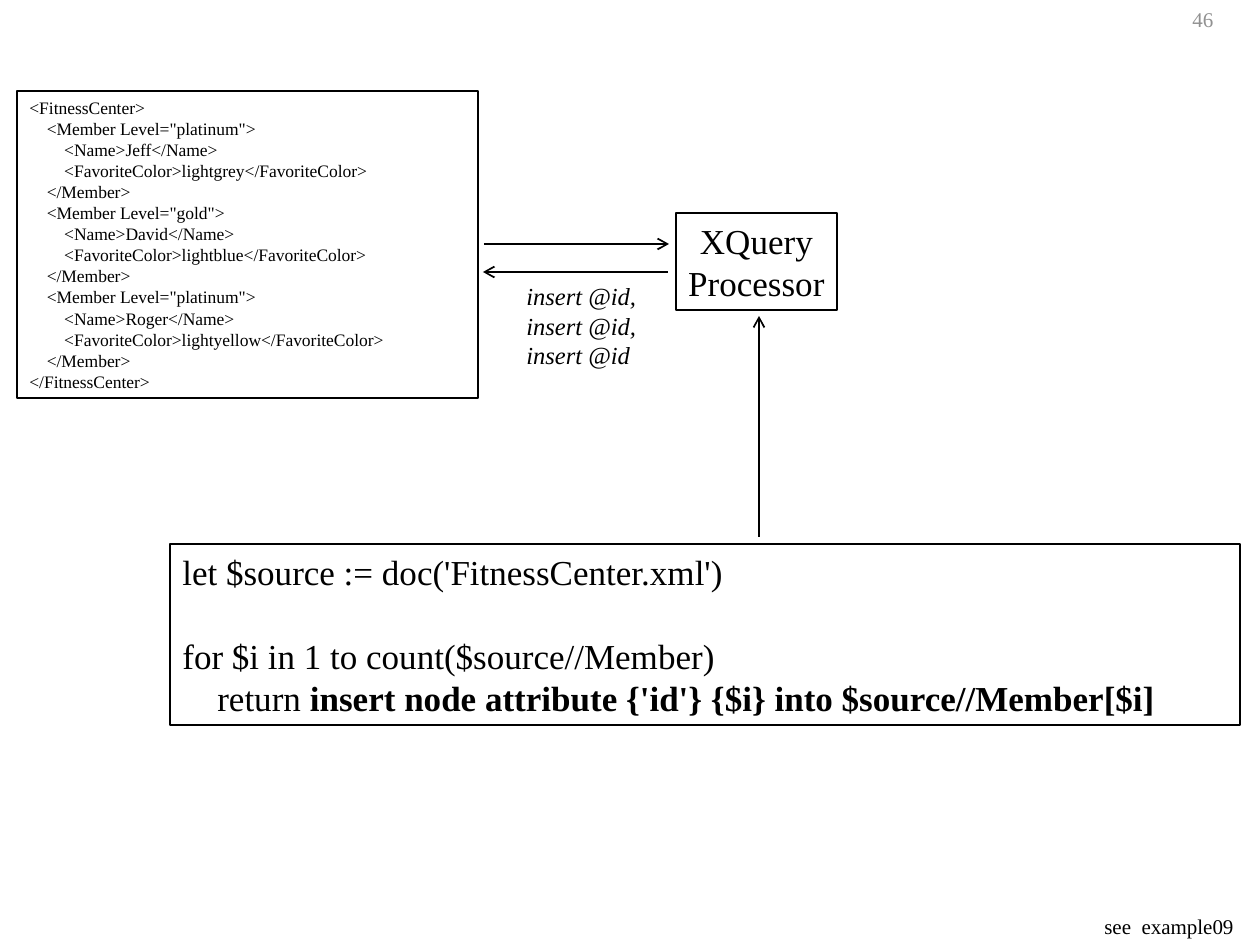
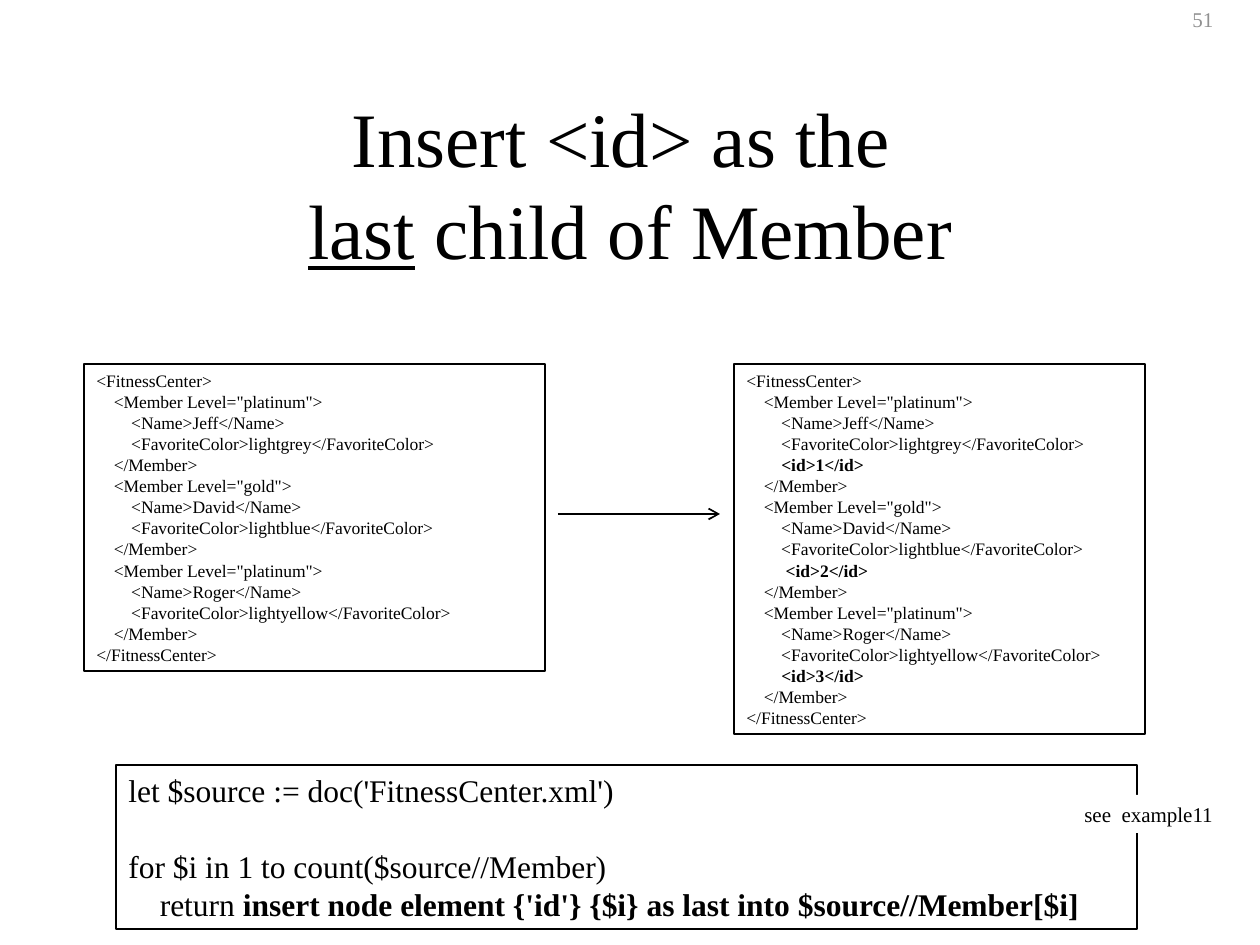
"""Builds two slides on inserting nodes with the XQuery Update Facility."""
from lxml import etree
from pptx import Presentation
from pptx import util as u
from pptx.dml.color import RGBColor
from pptx.enum import shapes, text
from pptx.oxml.ns import qn

PX = 914400 / 126
FONT = "Times New Roman"
BLACK, WHITE, GREY = "000000", "FFFFFF", "919191"
rgb = RGBColor.from_string


def box(s, rect, lines, size, color=BLACK, fill=None, line=None, wrap=True,
        align=text.PP_ALIGN.LEFT, italic=False):
    """Add a text box or rectangle; text after ** is bold, an empty line is a gap."""
    pos = [u.Emu(round(v * PX)) for v in rect]
    if fill or line:
        sp = s.shapes.add_shape(shapes.MSO_SHAPE.RECTANGLE, *pos)
        sp.shadow.inherit = False
    else:
        sp = s.shapes.add_textbox(*pos)
    if fill:
        sp.fill.solid()
        sp.fill.fore_color.rgb = rgb(fill)
    else:
        sp.fill.background()
    if line:
        sp.line.color.rgb = rgb(line)
        sp.line.width = u.Pt(1)
    else:
        sp.line.fill.background()
    tf = sp.text_frame
    tf.word_wrap = wrap
    tf.vertical_anchor = text.MSO_ANCHOR.TOP
    p, gap = None, 0
    for content in lines:
        if not content:
            gap = size * 1.2
            continue
        p = tf.add_paragraph() if p else tf.paragraphs[0]
        p.alignment = align
        if gap:
            p.space_before, gap = u.Pt(gap), 0
        plain, _, bold = content.partition("**")
        for words, is_bold in ((plain, False), (bold, True)):
            if words:
                r = p.add_run()
                r.text = words
                r.font.name, r.font.size = FONT, u.Pt(size)
                r.font.bold, r.font.italic = is_bold, italic
                r.font.color.rgb = rgb(color)


def arrow(s, x1, y1, x2, y2):
    """Add a thin black line with an open arrowhead at its end."""
    c = s.shapes.add_connector(shapes.MSO_CONNECTOR.STRAIGHT,
                               *[u.Emu(round(v * PX)) for v in (x1, y1, x2, y2)])
    c.line.color.rgb = rgb(BLACK)
    c.line.width = u.Pt(1)
    etree.SubElement(c.line._get_or_add_ln(), qn("a:tailEnd"), type="arrow")
    etree.SubElement(c._element.spPr, qn("a:effectLst"))


members = [("platinum", "Jeff", "lightgrey", "        **<id>1</id>"),
           ("gold", "David", "lightblue", "         **<id>2</id>"),
           ("platinum", "Roger", "lightyellow", "        **<id>3</id>")]
source_xml, result_xml = ["<FitnessCenter>"], ["<FitnessCenter>"]
for level, name, favorite, id_line in members:
    member = [f'    <Member Level="{level}">',
              f"        <Name>{name}</Name>",
              f"        <FavoriteColor>{favorite}</FavoriteColor>"]
    source_xml += member + ["    </Member>"]
    result_xml += member + [id_line, "    </Member>"]
source_xml.append("</FitnessCenter>")
result_xml.append("</FitnessCenter>")
query = ["let $source := doc('FitnessCenter.xml')", "",
         "for $i in 1 to count($source//Member)"]
framed = dict(fill=WHITE, line=BLACK)

prs = Presentation()
prs.slide_width, prs.slide_height = u.Inches(10), u.Inches(7.5)
title_only, blank = prs.slide_layouts[5], prs.slide_layouts[6]
process = prs.slides.add_slide(blank)
last_child = prs.slides.add_slide(title_only)
for s, number in ((process, "46"), (last_child, "51")):
    box(s, (1180, 0, 80, 38), [number], 12, GREY)

s = process
box(s, (17, 91, 461, 307), source_xml, 10, **framed)
arrow(s, 484, 244, 669, 244)
box(s, (676, 213, 161, 97), ["XQuery", "Processor"], 20, line=BLACK, wrap=False,
    align=text.PP_ALIGN.CENTER)
box(s, (170, 544, 1070, 181),
    query + ["    return **insert node attribute {'id'} {$i} into $source//Member[$i]"],
    20, **framed)
arrow(s, 759, 537, 759, 316)
arrow(s, 668, 272, 483, 272)
box(s, (514, 275, 150, 101), ["insert @id,", "insert @id,", "insert @id"], 14, italic=True)
box(s, (1092, 907, 166, 38), ["see  example09"], 12)

s = last_child
title = s.shapes.title
title.left, title.top, title.width, title.height = [
    u.Emu(round(v * PX)) for v in (95, 84, 1071, 158)]
tf = title.text_frame
tf.auto_size = text.MSO_AUTO_SIZE.NONE
tf.vertical_anchor = text.MSO_ANCHOR.TOP
tf.text = "Insert <id> as the \nlast"
tf.paragraphs[1].add_run().text = " child of Member"
for p in tf.paragraphs:
    p.alignment = text.PP_ALIGN.CENTER
    for r in p.runs:
        r.font.name, r.font.size = FONT, u.Pt(44)
        r.font.color.rgb = rgb(BLACK)
tf.paragraphs[1].runs[0].font.underline = True

box(s, (84, 364, 461, 307), source_xml, 10, **framed)
box(s, (734, 364, 411, 370), result_xml, 10, **framed)
arrow(s, 558, 514, 720, 514)
box(s, (116, 765, 1021, 164),
    query + ["    return **insert node element {'id'} {$i} as last into $source//Member[$i]"],
    18, **framed)
box(s, (1072, 795, 166, 38), ["see  example11"], 12, fill=WHITE)

prs.save("out.pptx")
